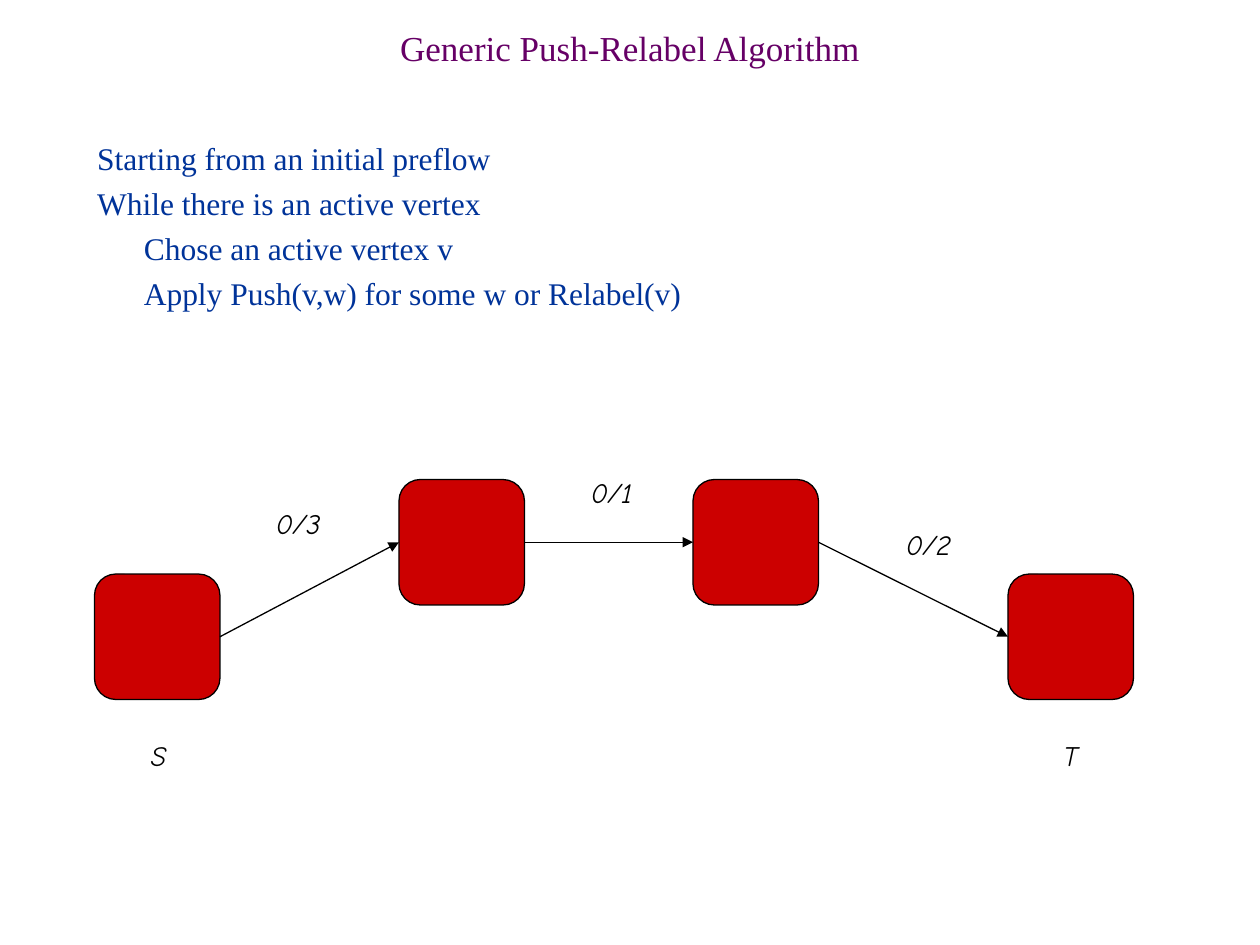
"""Build the push-relabel algorithm slide with its flow network."""
from lxml import etree
from pptx import Presentation, util as u
from pptx.dml.color import RGBColor
from pptx.enum import shapes, text
from pptx.oxml.ns import qn

PURPLE = RGBColor(0x66, 0x00, 0x66)
NAVY = RGBColor(0x00, 0x33, 0x99)
RED = RGBColor(0xCC, 0x00, 0x00)
BLACK = RGBColor(0x00, 0x00, 0x00)
SERIF, HAND = "Times New Roman", "Comic Neue"
COLUMNS, ROWS = 120, 90
NODE_SIDE = 11.95
LEFT_SIDE, RIGHT_SIDE = 1, 3


class Board:
    """Hold the style and the current slide, placed on a grid of cells."""

    def __init__(self, deck):
        self.slide = deck.slides.add_slide(deck.slide_layouts[6])
        self.column = deck.slide_width / COLUMNS
        self.row = deck.slide_height / ROWS

    def place(self, left, top, width, height):
        """Turn grid columns and rows into slide lengths."""
        return (round(left * self.column), round(top * self.row),
                round(width * self.column), round(height * self.row))

    def words(self, area, lines, font, size, color, italic=False, wrap=True):
        """Add a text box with one paragraph per line and return its frame."""
        frame = self.slide.shapes.add_textbox(*self.place(*area)).text_frame
        frame.word_wrap = wrap
        frame.text = "\n".join(lines)
        for paragraph in frame.paragraphs:
            for run in paragraph.runs:
                run.font.name = font
                run.font.size = u.Pt(size)
                run.font.italic = italic
                run.font.color.rgb = color
        return frame

    def title(self, area, wording):
        """Add the centred heading."""
        frame = self.words(area, [wording], SERIF, 20, PURPLE)
        frame.vertical_anchor = text.MSO_ANCHOR.MIDDLE
        frame.paragraphs[0].alignment = text.PP_ALIGN.CENTER
        frame.paragraphs[0].line_spacing = 0.7

    def steps(self, area, outline):
        """Add pseudocode lines, each given with its depth."""
        frame = self.words(area, [line for _, line in outline], SERIF, 18, NAVY)
        for paragraph, (depth, _) in zip(frame.paragraphs, outline):
            paragraph.line_spacing = u.Pt(25.6)
            if depth:
                properties = paragraph._p.get_or_add_pPr()
                properties.set("marL", str(u.Inches(0.37 * depth)))

    def label(self, area, wording):
        """Add a handwritten label."""
        frame = self.words(area, [wording], HAND, 16, BLACK, True, False)
        frame.auto_size = text.MSO_AUTO_SIZE.SHAPE_TO_FIT_TEXT

    def node(self, left, top):
        """Add a rounded vertex and return it."""
        vertex = self.slide.shapes.add_shape(
            shapes.MSO_SHAPE.ROUNDED_RECTANGLE,
            *self.place(left, top, NODE_SIDE, NODE_SIDE))
        vertex.adjustments[0] = 0.17
        vertex.shadow.inherit = False
        vertex.fill.solid()
        vertex.fill.fore_color.rgb = RED
        vertex.line.color.rgb = BLACK
        vertex.line.width = u.Pt(0.75)
        return vertex

    def edge(self, source, target):
        """Add an arrow from the right side of one vertex to the next."""
        arrow = self.slide.shapes.add_connector(
            shapes.MSO_CONNECTOR.STRAIGHT, 0, 0, 0, 0)
        arrow.begin_connect(source, RIGHT_SIDE)
        arrow.end_connect(target, LEFT_SIDE)
        arrow.line.color.rgb = BLACK
        arrow.line.width = u.Pt(0.75)
        etree.SubElement(arrow.line._get_or_add_ln(), qn("a:tailEnd"), type="triangle")
        etree.SubElement(arrow._element.spPr, qn("a:effectLst"))


def main():
    """Compose the slide and save it."""
    deck = Presentation()
    deck.slide_width, deck.slide_height = u.Inches(10), u.Inches(7.5)
    board = Board(deck)
    board.title((0, 2, COLUMNS, 6), "Generic Push-Relabel Algorithm")
    board.steps((8.08, 12, 103, 33.5), [
        (0, "Starting from an initial preflow"),
        (0, "While there is an active vertex"),
        (1, "Chose an active vertex v"),
        (1, "Apply Push(v,w) for some w or Relabel(v)"),
    ])

    low, high = 54.67, 45.67
    vertices = [board.node(left, top) for left, top in
                ((9, low), (38, high), (66, high), (96, low))]
    for source, target in zip(vertices, vertices[1:]):
        board.edge(source, target)

    for wording, left, top, width in (
            ("0/3", 25.1, 47.67, 7), ("0/1", 55.1, 44.67, 6.7),
            ("0/2", 85.1, 49.67, 7), ("S", 13.2, 69.7, 3.9),
            ("T", 100.1, 69.7, 3.9)):
        board.label((left, top, width, 4.4), wording)
    deck.save("out.pptx")


if __name__ == "__main__":
    main()
